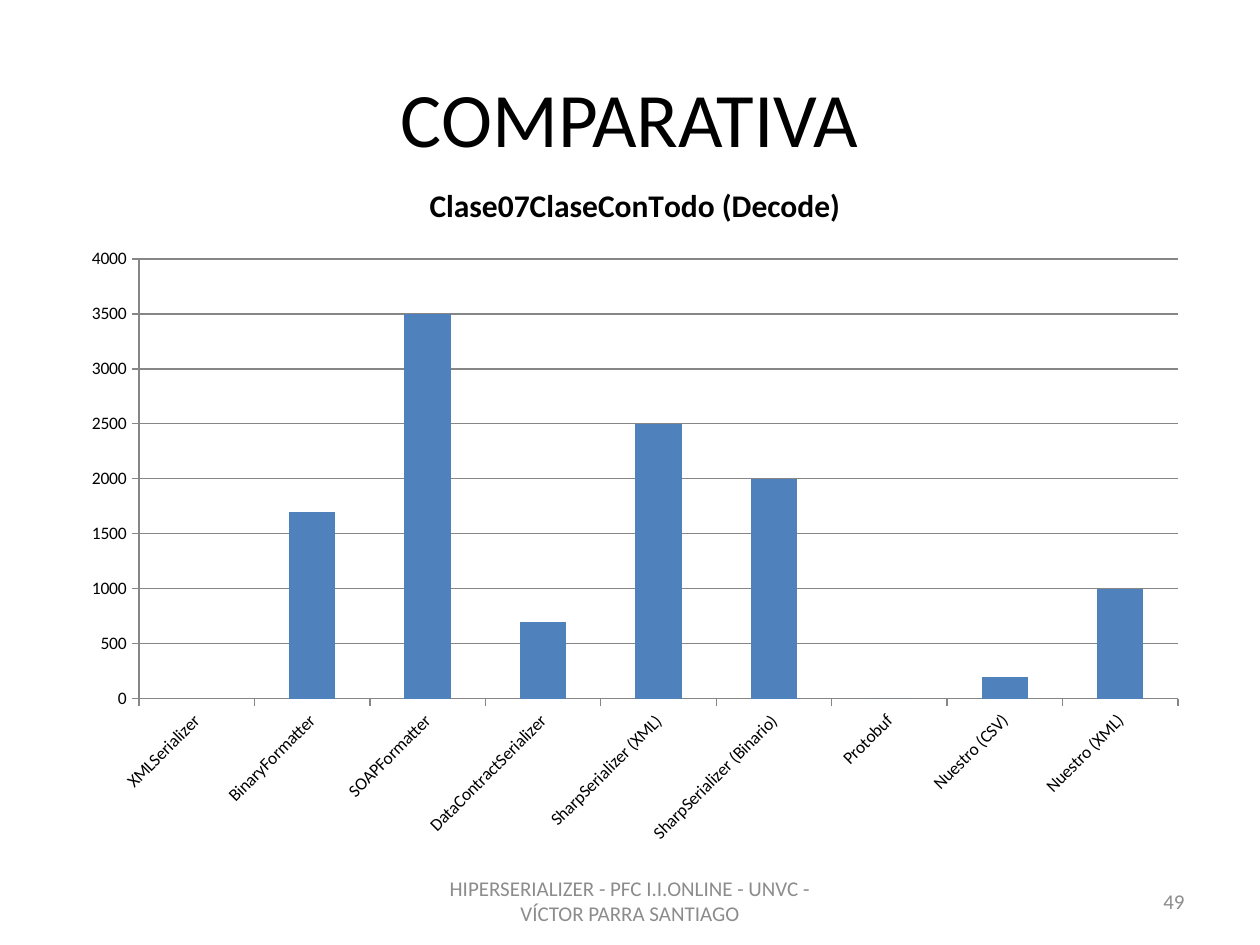
from pptx import Presentation
from pptx import util as u
from pptx.chart.data import CategoryChartData
from pptx.dml.color import RGBColor
from pptx.enum import chart as charts, text

FONT = "Calibri"
BLACK = RGBColor(0x00, 0x00, 0x00)
GRAY = RGBColor(0x8C, 0x8C, 0x8C)
LINE_GRAY = RGBColor(0x86, 0x86, 0x86)
BLUE = RGBColor(0x4F, 0x81, 0xBD)

CHART_TITLE = "Clase07ClaseConTodo (Decode)"
DECODE_TIMES = {
    "XMLSerializer": None,
    "BinaryFormatter": 1700,
    "SOAPFormatter": 3500,
    "DataContractSerializer": 700,
    "SharpSerializer (XML)": 2500,
    "SharpSerializer (Binario)": 2000,
    "Protobuf": 0,
    "Nuestro (CSV)": 200,
    "Nuestro (XML)": 1000,
}


def inches(*lengths):
    return [u.Inches(length) for length in lengths]


def style_font(font, size, color, bold=False):
    font.name = FONT
    font.size = u.Pt(size)
    font.bold = bold
    font.color.rgb = color


def add_label(page, box, words, size, color, align):
    frame = page.shapes.add_textbox(*box).text_frame
    frame.word_wrap = True
    frame.vertical_anchor = text.MSO_ANCHOR.MIDDLE
    frame.text = words
    para = frame.paragraphs[0]
    para.alignment = align
    style_font(para.runs[0].font, size, color)


def add_decode_chart(page, box):
    data = CategoryChartData()
    data.categories = list(DECODE_TIMES)
    data.add_series(CHART_TITLE, list(DECODE_TIMES.values()))
    chart = page.shapes.add_chart(
        charts.XL_CHART_TYPE.COLUMN_CLUSTERED, *box, data).chart
    style_font(chart.font, 10, BLACK)
    chart.has_legend = False

    # Chart title
    chart.has_title = True
    chart.chart_title.include_in_layout = False
    heading = chart.chart_title.text_frame
    heading.text = CHART_TITLE
    style_font(heading.paragraphs[0].runs[0].font, 18, BLACK, bold=True)

    # Columns
    plot = chart.plots[0]
    plot.gap_width = 150
    plot.vary_by_categories = False
    fill = plot.series[0].format.fill
    fill.solid()
    fill.fore_color.rgb = BLUE

    # Axes and gridlines
    values = chart.value_axis
    values.minimum_scale, values.maximum_scale = 0, 4000
    values.major_unit = 500
    values.has_major_gridlines = True
    for part in (values, chart.category_axis, values.major_gridlines):
        part.format.line.color.rgb = LINE_GRAY
    for axis in (values, chart.category_axis):
        axis.major_tick_mark = charts.XL_TICK_MARK.OUTSIDE
        axis.minor_tick_mark = charts.XL_TICK_MARK.NONE
        style_font(axis.tick_labels.font, 10, BLACK)
    # Slant the category names by 45 degrees
    names = chart.category_axis.tick_labels.font
    names._element.getparent().getparent().getparent().bodyPr.set("rot", "-2700000")


def add_footer(page, left, top, width, height):
    center_width, number_width = inches(3.17, 2.33)
    center_left = left + (width - center_width) // 2
    add_label(page, (center_left, top, center_width, height),
              "HIPERSERIALIZER - PFC I.I.ONLINE - UNVC - VÍCTOR PARRA SANTIAGO",
              12, GRAY, text.PP_ALIGN.CENTER)
    add_label(page, (left + width - number_width, top, number_width, height),
              "49", 12, GRAY, text.PP_ALIGN.RIGHT)


def main():
    deck = Presentation()
    deck.slide_width, deck.slide_height = inches(10, 7.5)
    page = deck.slides.add_slide(deck.slide_layouts[6])
    add_label(page, inches(0.5, 0.3, 9, 1.25), "COMPARATIVA",
              44, BLACK, text.PP_ALIGN.CENTER)
    add_footer(page, *inches(0.5, 6.95, 9, 0.4))
    add_decode_chart(page, inches(0.55, 1.25, 8.98, 5.55))
    deck.save("out.pptx")


if __name__ == "__main__":
    main()
